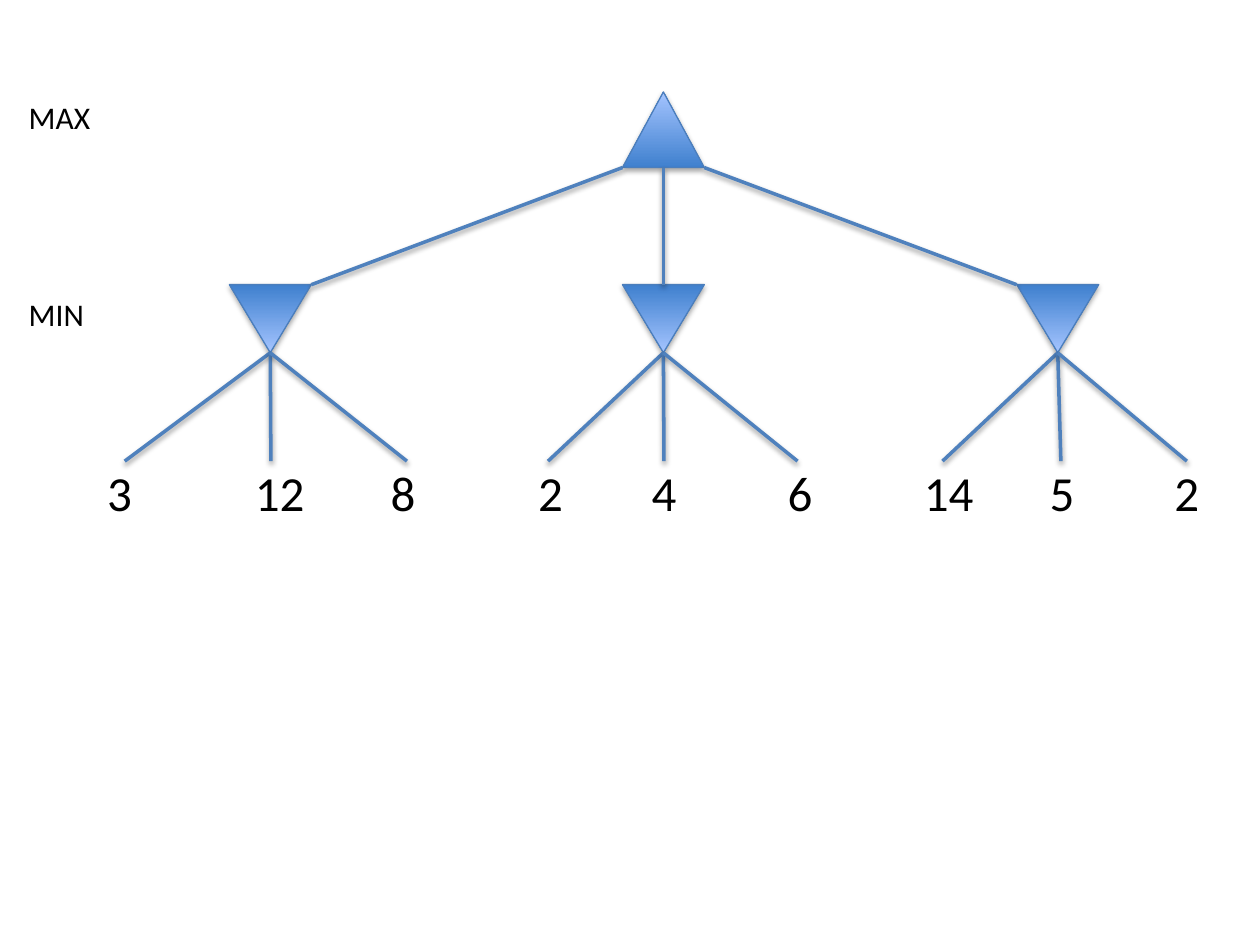
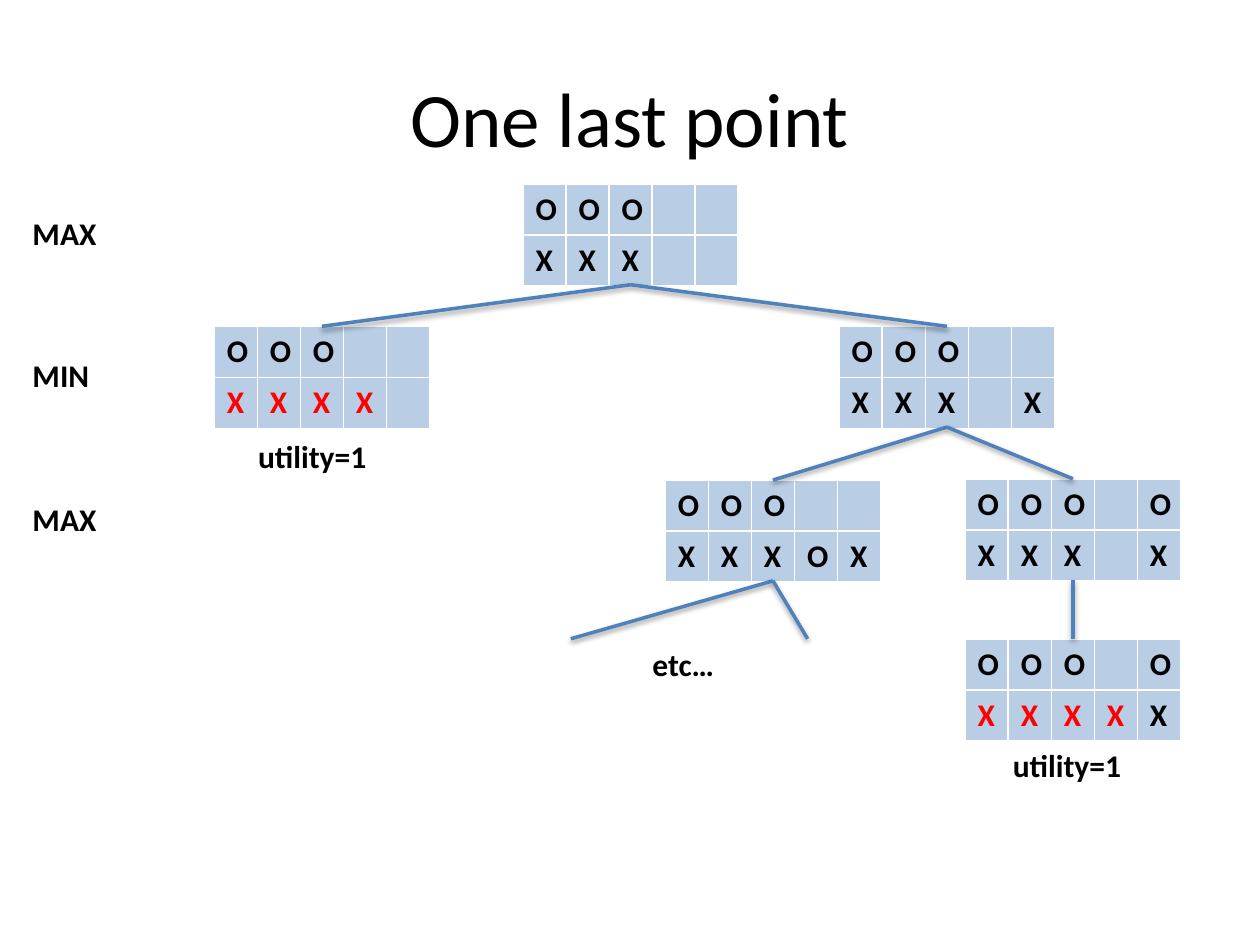
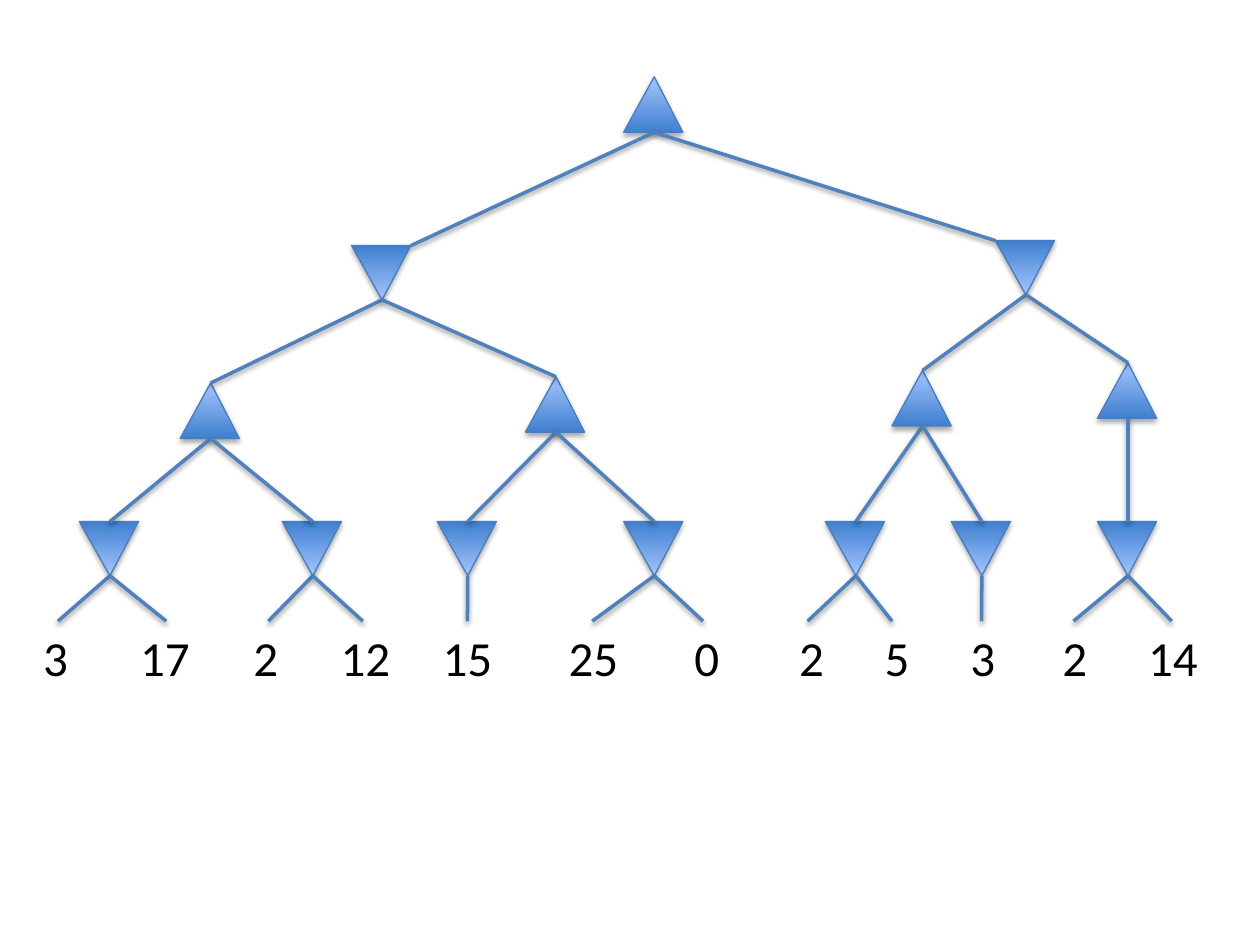
from dataclasses import dataclass

from lxml import etree
from pptx import Presentation
from pptx.dml.color import RGBColor
from pptx.enum.shapes import MSO_CONNECTOR, MSO_SHAPE
from pptx.enum.text import MSO_ANCHOR, PP_ALIGN
from pptx.oxml.ns import qn
from pptx.util import Inches, Pt

TRIANGLE = MSO_SHAPE.ISOSCELES_TRIANGLE
STRAIGHT = MSO_CONNECTOR.STRAIGHT
MIDDLE = MSO_ANCHOR.MIDDLE
LEFT, CENTER = PP_ALIGN.LEFT, PP_ALIGN.CENTER
TOP_SIDE, BOTTOM_SIDE = 0, 2


@dataclass(frozen=True)
class Theme:
    font: str = "Calibri"
    text: str = "000000"
    win: str = "FF0000"
    cell: str = "B9CDE5"
    edge: str = "4F81BD"
    outline: str = "4B7EBC"
    dark: str = "3F80CE"
    light: str = "A4C4FF"
    title_size: int = 44
    leaf_size: int = 28
    body_size: int = 18


theme = Theme()


def write(tf, text, size=theme.body_size, color=theme.text, bold=False, align=LEFT):
    p = tf.paragraphs[0]
    p.alignment = align
    r = p.add_run()
    r.text = text
    r.font.name = theme.font
    r.font.size = Pt(size)
    r.font.bold = bold
    r.font.color.rgb = RGBColor.from_string(color)


def add_shadow(sp, distance, opacity):
    effects = etree.SubElement(sp._element.spPr, qn("a:effectLst"))
    shadow = etree.SubElement(effects, qn("a:outerShdw"), blurRad=str(Pt(3.1)),
                              dist=str(Pt(distance)), dir="5400000", rotWithShape="0")
    black = etree.SubElement(shadow, qn("a:srgbClr"), val="000000")
    etree.SubElement(black, qn("a:alpha"), val=str(opacity * 1000))


prs = Presentation()
prs.slide_width, prs.slide_height = Inches(10), Inches(7.5)
small_tree, game, big_tree = [prs.slides.add_slide(prs.slide_layouts[6]) for _ in range(3)]

# node: left, top, points up, parent, start and end as shares of the width, leaves
# leaf: value, centre of the value, end of its line
MID = 0.516
trees = [
    dict(slide=small_tree, width=0.65, up_height=0.6, down_height=0.54, tip=0.5,
         line_end=3.66, value_top=3.62, nodes=[
             (4.94, 0.73, True, None, 0, 0, []),
             (1.82, 2.26, False, 0, 0, 1,
              [("3", 0.95, 0.99), ("12", 2.22, 2.15), ("8", 3.2, 3.23)]),
             (4.94, 2.26, False, 0, 0.5, 0.5,
              [("2", 4.37, 4.35), ("4", 5.27, 5.27), ("6", 6.35, 6.33)]),
             (8.07, 2.26, False, 0, 1, 0,
              [("14", 7.53, 7.48), ("5", 8.43, 8.42), ("2", 9.42, 9.42)]),
         ]),
    dict(slide=big_tree, width=0.47, up_height=0.44, down_height=0.43, tip=MID,
         line_end=4.93, value_top=4.93, nodes=[
             (4.95, 0.61, True, None, 0, 0, []),
             (2.79, 1.95, False, 0, MID, 1, []),
             (7.9, 1.91, False, 0, MID, 0, []),
             (1.43, 3.04, True, 1, MID, MID, []),
             (4.17, 2.99, True, 1, MID, MID, []),
             (7.08, 2.94, True, 2, MID, MID, []),
             (8.71, 2.88, True, 2, MID, MID, []),
             (0.63, 4.14, False, 3, MID, MID, [("3", 0.44, 0.46), ("17", 1.31, 1.32)]),
             (2.24, 4.14, False, 3, MID, MID, [("2", 2.11, 2.13), ("12", 2.9, 2.88)]),
             (3.47, 4.14, False, 4, MID, MID, [("15", 3.71, 3.71)]),
             (4.95, 4.14, False, 4, MID, MID, [("25", 4.71, 4.7), ("0", 5.61, 5.58)]),
             (6.55, 4.14, False, 5, MID, MID, [("2", 6.44, 6.41), ("5", 7.12, 7.08)]),
             (7.55, 4.14, False, 5, MID, MID, [("3", 7.8, 7.79)]),
             (8.71, 4.14, False, 6, MID, MID, [("2", 8.53, 8.52), ("14", 9.31, 9.3)]),
         ]),
]

labels = [
    (small_tree, "MAX", 0.13, 0.73, 0.8, 0.4, {}),
    (small_tree, "MIN", 0.13, 2.29, 0.8, 0.4, {}),
]
for text, left, top in [("MAX", 0.16, 1.65), ("MIN", 0.16, 2.78), ("MAX", 0.16, 3.92),
                        ("utility=1", 1.95, 3.42), ("etc…", 5.08, 5.07),
                        ("utility=1", 7.94, 5.87)]:
    labels.append((game, text, left, top, 1.14, 0.4, dict(bold=True)))

links = []
for tree in trees:
    s, width, nodes = tree["slide"], tree["width"], tree["nodes"]
    for left, top, up, parent, start, end, leaves in nodes:
        height = tree["up_height"] if up else tree["down_height"]
        sp = s.shapes.add_shape(TRIANGLE, Inches(left), Inches(top),
                                Inches(width), Inches(height))
        sp.adjustments[0] = tree["tip"]
        if not up:
            sp._element.spPr.xfrm.set("flipV", "1")
        sp.fill.gradient()
        sp.fill.gradient_angle = 90
        for stop, color in zip(sp.fill.gradient_stops, (theme.dark, theme.light)):
            stop.color.rgb = RGBColor.from_string(color)
        sp.line.color.rgb = RGBColor.from_string(theme.outline)
        sp.line.width = Pt(0.75)
        add_shadow(sp, 1.8, 35)

        if parent is not None:
            from_left, from_top, from_up = nodes[parent][:3]
            from_height = tree["up_height"] if from_up else tree["down_height"]
            links.append((s, (from_left + start * width, from_top + from_height),
                          (left + end * width, top), None, None))
        for value, centre, line_x in leaves:
            links.append((s, (left + tree["tip"] * width, top + height),
                          (line_x, tree["line_end"]), None, None))
            labels.append((s, value, centre - 0.4, tree["value_top"], 0.8, 0.57,
                           dict(size=theme.leaf_size, align=CENTER)))

boards = {}
for name, left, top, rows, wins in [
    ("start", 4.15, 1.46, ("OOO..", "XXX.."), 0),
    ("right", 6.66, 2.59, ("OOO..", "XXX.X"), 0),
    ("left", 1.7, 2.59, ("OOO..", "XXXX."), 4),
    ("blocked", 5.28, 3.81, ("OOO..", "XXXOX"), 0),
    ("open", 7.66, 3.8, ("OOO.O", "XXX.X"), 0),
    ("won", 7.66, 5.07, ("OOO.O", "XXXXX"), 4),
]:
    board = game.shapes.add_table(2, 5, Inches(left), Inches(top), Inches(1.71), Inches(0.8))
    board.table.first_row = False
    board.table.horz_banding = False
    for i, row in enumerate(rows):
        for j, mark in enumerate(row):
            cell = board.table.cell(i, j)
            cell.fill.solid()
            cell.fill.fore_color.rgb = RGBColor.from_string(theme.cell)
            if mark != ".":
                color = theme.win if i == 1 and j < wins else theme.text
                write(cell.text_frame, mark, color=color, bold=True)
    boards[name] = board

for parent, child in [("start", "left"), ("start", "right"), ("right", "blocked"),
                      ("right", "open"), ("open", "won")]:
    links.append((game, (0, 0), (0, 0), boards[parent], boards[child]))
for x in (4.53, 6.41):
    links.append((game, (0, 0), (x, 5.07), boards["blocked"], None))

for s, start, end, parent, child in links:
    line = s.shapes.add_connector(STRAIGHT, *[Inches(v) for v in start + end])
    if parent is not None:
        line.begin_connect(parent, BOTTOM_SIDE)
    if child is not None:
        line.end_connect(child, TOP_SIDE)
    line.line.color.rgb = RGBColor.from_string(theme.edge)
    line.line.width = Pt(2)
    add_shadow(line, 1.6, 38)

for s, text, left, top, width, height, style in labels:
    box = s.shapes.add_textbox(Inches(left), Inches(top), Inches(width), Inches(height))
    box.text_frame.word_wrap = True
    write(box.text_frame, text, **style)

title = game.shapes.add_textbox(Inches(0.5), Inches(0.3), Inches(9), Inches(1.25))
title.text_frame.word_wrap = True
title.text_frame.vertical_anchor = MIDDLE
write(title.text_frame, "One last point", size=theme.title_size, align=CENTER)

prs.save("out.pptx")
